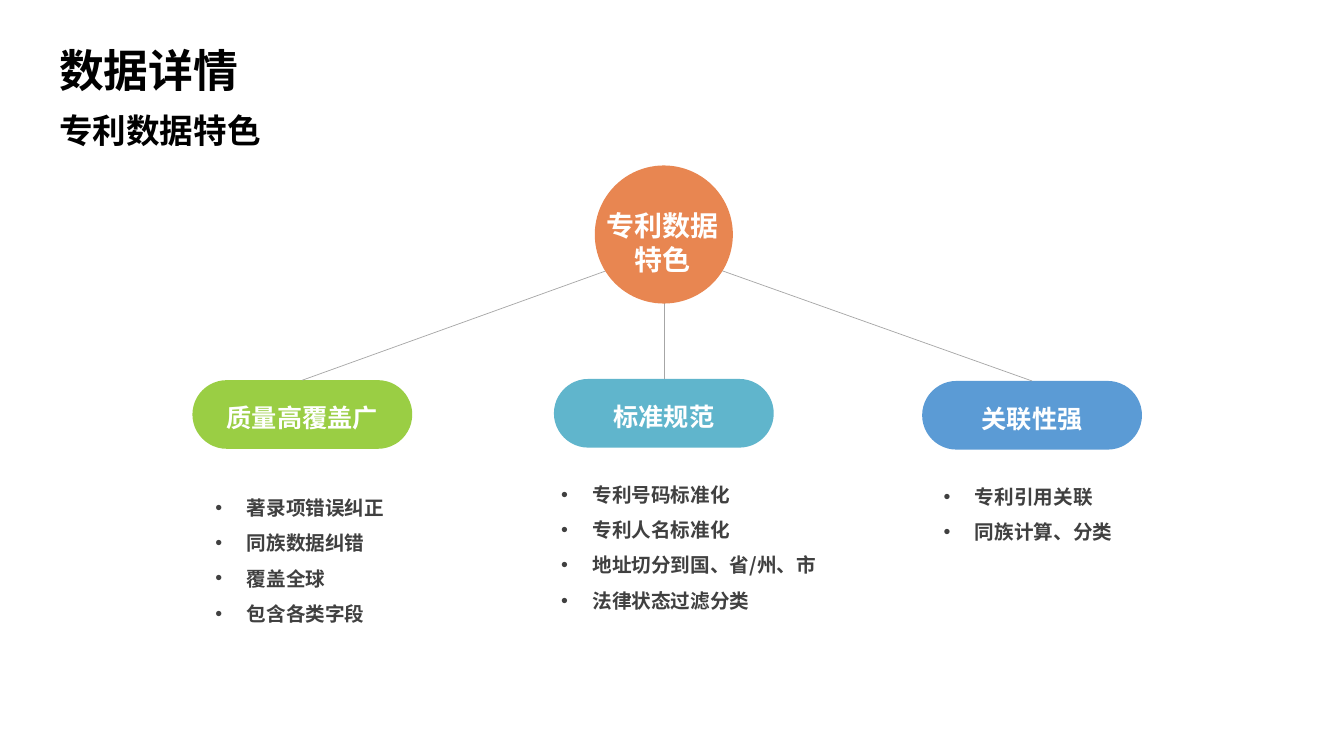
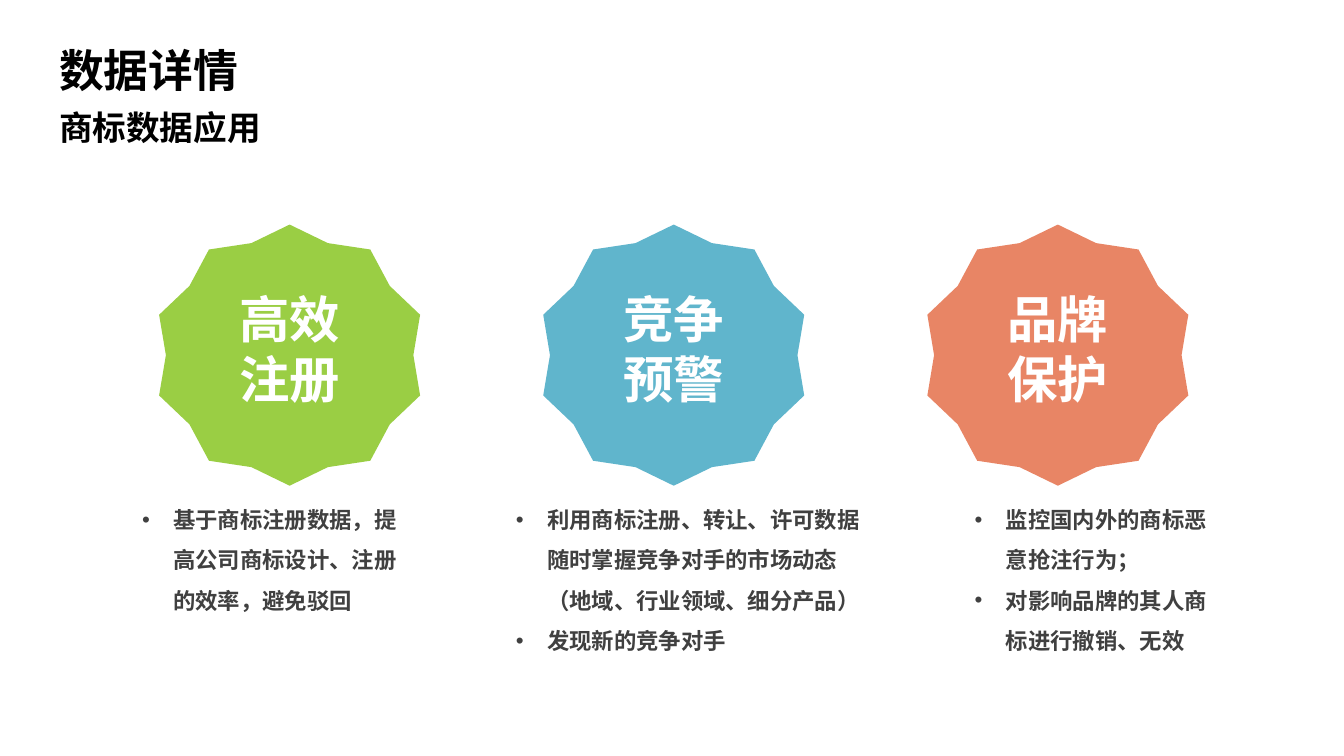
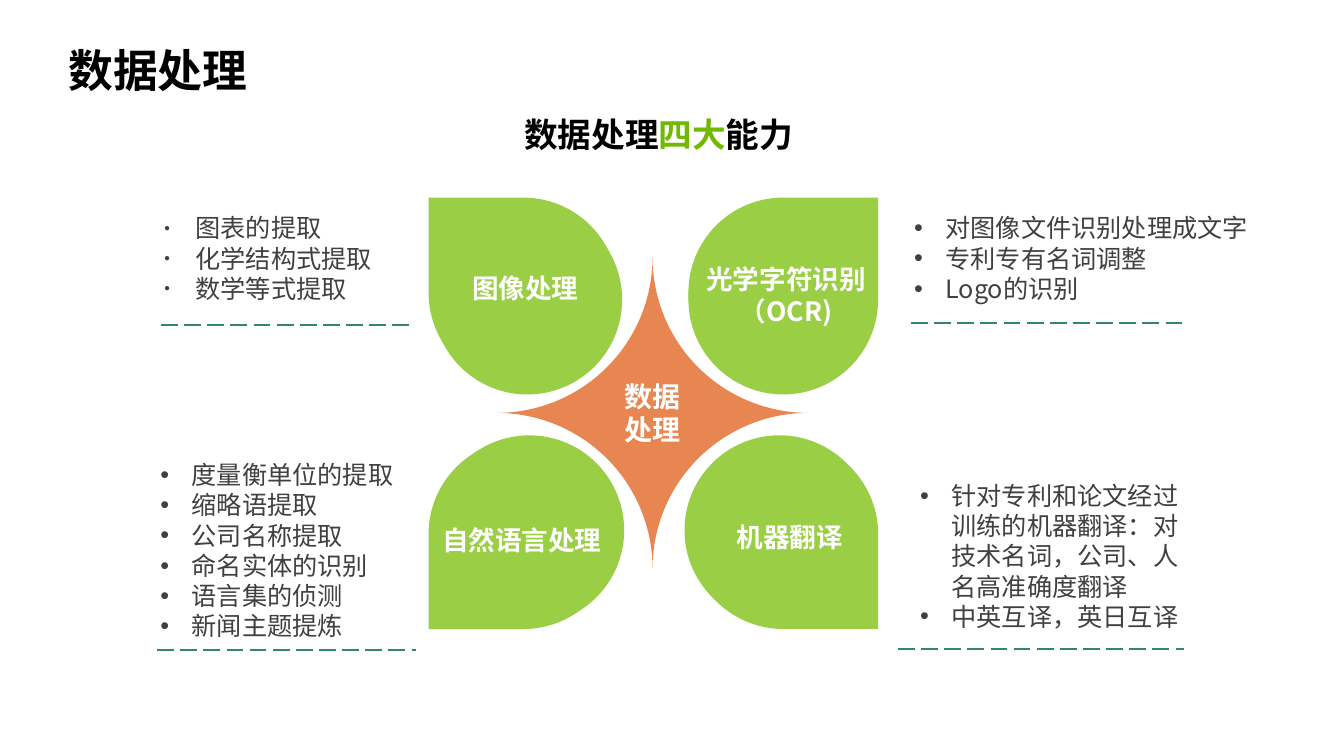
import pptx
import pptx.util
from lxml import etree
from pptx.dml.color import RGBColor
from pptx.enum.dml import MSO_LINE
from pptx.enum.shapes import MSO_CONNECTOR, MSO_SHAPE
from pptx.enum.text import MSO_ANCHOR, MSO_AUTO_SIZE, PP_ALIGN
from pptx.oxml.ns import qn
from pptx.util import Cm

BLACK = RGBColor(0x00, 0x00, 0x00)
WHITE = RGBColor(0xFF, 0xFF, 0xFF)
DARK_GREY = RGBColor(0x40, 0x40, 0x40)
LINE_GREY = RGBColor(0xA6, 0xA6, 0xA6)
GREEN = RGBColor(0x9A, 0xCE, 0x44)
ACCENT_GREEN = RGBColor(0x71, 0xB9, 0x00)
DASH_GREEN = RGBColor(0x32, 0x87, 0x65)
TEAL = RGBColor(0x60, 0xB5, 0xCC)
BLUE = RGBColor(0x5B, 0x9B, 0xD5)
ORANGE = RGBColor(0xE8, 0x86, 0x51)
CORAL = RGBColor(0xE8, 0x85, 0x65)

LATIN = "Arial"
CJK = "Noto Sans CJK SC"
TEXT_INSETS = (0.25, 0.13, 0.25, 0.13)
NO_INSETS = (0, 0, 0, 0)
HANG = 0.79


def add_bullet(paragraph, indent, character, percent):
    properties = paragraph._p.get_or_add_pPr()
    properties.set("marL", str(Cm(indent)))
    properties.set("indent", str(-Cm(HANG)))
    if percent != 100:
        size = etree.SubElement(properties, qn("a:buSzPct"))
        size.set("val", str(percent * 1000))
    etree.SubElement(properties, qn("a:buFont")).set("typeface", LATIN)
    etree.SubElement(properties, qn("a:buChar")).set("char", character)


def write(frame, paragraphs, size, colour, font=CJK, bold=True, align=None,
          spacing=None, insets=TEXT_INSETS, wrap=True, bullet=None):
    """Fill a frame; a paragraph is a string or a list of (text, colour) runs."""
    frame.word_wrap = wrap
    (frame.margin_left, frame.margin_top,
     frame.margin_right, frame.margin_bottom) = map(Cm, insets)
    for index, content in enumerate(paragraphs):
        paragraph = frame.add_paragraph() if index else frame.paragraphs[0]
        if bullet:
            add_bullet(paragraph, *bullet)
        paragraph.alignment = align
        paragraph.line_spacing = spacing
        runs = [(content, colour)] if isinstance(content, str) else content
        for text, run_colour in runs:
            run = paragraph.add_run()
            run.text = text
            run.font.name = font
            run.font.size = pptx.util.Pt(size)
            run.font.bold = bold
            run.font.color.rgb = run_colour


def add_text(slide, box, paragraphs, size, colour, **style):
    shape = slide.shapes.add_textbox(*map(Cm, box))
    write(shape.text_frame, paragraphs, size, colour, **style)
    shape.text_frame.auto_size = MSO_AUTO_SIZE.SHAPE_TO_FIT_TEXT


def add_filled(slide, kind, box, colour, rotation=0):
    shape = slide.shapes.add_shape(kind, *map(Cm, box))
    shape.shadow.inherit = False
    shape.fill.solid()
    shape.fill.fore_color.rgb = colour
    shape.line.fill.background()
    shape.rotation = rotation
    shape.text_frame.vertical_anchor = MSO_ANCHOR.MIDDLE
    return shape


def add_line(slide, start, end, colour, width, dash=None):
    line = slide.shapes.add_connector(
        MSO_CONNECTOR.STRAIGHT, *map(Cm, start + end))
    line.line.color.rgb = colour
    line.line.width = pptx.util.Pt(width)
    if dash:
        line.line.dash_style = dash
    etree.SubElement(line._element.spPr, qn("a:effectLst"))
    return line


def add_title(slide, text, left=1.24, top=0.94, font=LATIN):
    add_text(slide, (left, top, 10.16, 1.63), [text], 32, BLACK, font=font)


def add_subtitle(slide, content, left=1.24, top=2.57, align=None):
    add_text(slide, (left, top, 11, 1.27), [content], 24, BLACK, align=align)


def add_pill(slide, box, text, colour):
    pill = add_filled(slide, MSO_SHAPE.ROUNDED_RECTANGLE, box, colour)
    pill.adjustments[0] = 0.5
    write(pill.text_frame, [text], 18, WHITE, align=PP_ALIGN.CENTER,
          spacing=1.2, insets=NO_INSETS)
    return pill


def add_star(slide, box, lines, colour):
    star = add_filled(slide, MSO_SHAPE.STAR_10_POINT, box, colour)
    star.adjustments[0] = 0.451
    star.adjustments[1] = 1.051
    write(star.text_frame, lines, 36, WHITE, font=LATIN,
          align=PP_ALIGN.CENTER, insets=(0, 0, 0, 0.35), wrap=False)


def build_features(slide):
    add_title(slide, "数据详情")
    add_subtitle(slide, "专利数据特色", top=2.64)

    hub_left, hub_top, hub_size = 14.99, 4.17, 3.48
    hub_middle = hub_left + hub_size / 2
    pill_width, pill_height = 5.54, 1.73
    branches = [
        ("质量高覆盖广", GREEN, 4.85, 9.58, 5.18, 12.07,
         ["著录项错误纠正", "同族数据纠错", "覆盖全球", "包含各类字段"]),
        ("标准规范", TEAL, hub_middle - pill_width / 2, 9.55, 13.89, 11.74,
         ["专利号码标准化", "专利人名标准化", "地址切分到国、省/州、市",
          "法律状态过滤分类"]),
        ("关联性强", BLUE, 23.24, 9.6, 23.53, 11.79,
         ["专利引用关联", "同族计算、分类"]),
    ]
    for name, colour, left, top, list_left, list_top, items in branches:
        pill = add_pill(slide, (left, top, pill_width, pill_height), name, colour)
        line = add_line(slide, (hub_middle, 6.3),
                        (left + pill_width / 2, top), LINE_GREY, 0.5)
        line.end_connect(pill, 0)
        add_text(slide, (list_left, list_top, 7.09, 0.9 * len(items) + 0.25),
                 items, 14, DARK_GREY, spacing=1.5, bullet=(HANG, "•", 100))

    hub = add_filled(slide, MSO_SHAPE.OVAL,
                     (hub_left, hub_top, hub_size, hub_size), ORANGE)
    write(hub.text_frame, ["专利数据", "特色"], 20, WHITE,
          align=PP_ALIGN.CENTER, insets=(0, 0.4, 0.05, 0), wrap=False)


def build_applications(slide):
    add_title(slide, "数据详情")
    add_subtitle(slide, "商标数据应用")

    star_left, star_top, star_size, star_step = 4.01, 5.66, 6.58, 9.68
    applications = [
        (["高效", "注册"], GREEN, 3.33, 7.26,
         ["基于商标注册数据，提高公司商标设计、注册的效率，避免驳回"]),
        (["竞争", "预警"], TEAL, 12.75, 9.63,
         ["利用商标注册、转让、许可数据随时掌握竞争对手的市场动态"
          "（地域、行业领域、细分产品）", "发现新的竞争对手"]),
        (["品牌", "保护"], CORAL, 24.31, 6.53,
         ["监控国内外的商标恶意抢注行为；",
          "对影响品牌的其人商标进行撤销、无效"]),
    ]
    for index, (lines, colour, left, width, items) in enumerate(applications):
        add_star(slide, (star_left + index * star_step, star_top,
                         star_size, star_size), lines, colour)
        add_text(slide, (left, 12.29, width, 4.3), items, 16, DARK_GREY,
                 font=LATIN, spacing=1.5, bullet=(HANG, "•", 100))


def add_petal(slide, left, top, rotation, shift):
    """Two overlapping teardrops, the lower one moved by shift."""
    size = 4.78
    for across, down in (shift, (0, 0)):
        add_filled(slide, MSO_SHAPE.TEAR,
                   (left + across, top + down, size, size), GREEN, rotation)


def build_processing(slide):
    add_title(slide, "数据处理", left=1.47, top=0.95, font=CJK)
    add_subtitle(slide, [("数据处理", BLACK), ("四大", ACCENT_GREEN),
                         ("能力", BLACK)],
                 left=11.1, top=2.74, align=PP_ALIGN.CENTER)

    core = add_filled(slide, MSO_SHAPE.PLAQUE, (12.52, 6.48, 7.85, 7.85), ORANGE)
    core.adjustments[0] = 0.5
    write(core.text_frame, ["数据处理"], 20, WHITE, align=PP_ALIGN.CENTER,
          insets=(0.33, 0.18, 0.33, 0.18))

    left, right, top, bottom = 10.8, 17.35, 4.98, 11.07
    for petal in [(left, top, 270, (0.1, 0.18)),
                  (right, top, 0, (0, 0.18)),
                  (left, bottom, 180, (0.15, -0.1)),
                  (right, bottom, 90, (-0.1, -0.1))]:
        add_petal(slide, *petal)

    dot, small_dot = ("•", 100), ("●", 40)
    abilities = [
        (["图像处理"], (11.88, 6.86, 2.72, 0.81),
         ["图表的提取", "化学结构式提取", "数学等式提取"],
         (2.87, 5.36, 7.5, 2.31), small_dot, (4.06, 10.36, 8.2)),
        (["光学字符识别", "（OCR)"], (17.78, 6.63, 4.06, 1.63),
         ["对图像文件识别处理成文字", "专利专有名词调整", "Logo的识别"],
         (21.77, 5.36, 9.83, 2.31), dot, (22.96, 29.85, 8.13)),
        (["自然语言处理"], (11.12, 13.21, 4.06, 0.81),
         ["度量衡单位的提取", "缩略语提取", "公司名称提取", "命名实体的识别",
          "语言集的侦测", "新闻主题提炼"],
         (2.77, 11.58, 9.37, 4.62), dot, (3.96, 10.49, 16.38)),
        (["机器翻译"], (18.54, 13.13, 2.72, 0.81),
         ["针对专利和论文经过训练的机器翻译：对技术名词，公司、人名高准确度翻译",
          "中英互译，英日互译"],
         (21.92, 12.1, 7.85, 3.84), dot, (22.63, 29.85, 16.36)),
    ]
    for name, name_box, items, list_box, mark, rule in abilities:
        add_text(slide, name_box, name, 19, WHITE, align=PP_ALIGN.CENTER,
                 insets=NO_INSETS, wrap=False)
        add_text(slide, list_box, items, 18, DARK_GREY, bold=False,
                 insets=NO_INSETS, bullet=(2.06, *mark))
        start, end, height = rule
        add_line(slide, (start, height), (end, height), DASH_GREEN, 1.5,
                 MSO_LINE.LONG_DASH)


def main():
    presentation = pptx.Presentation()
    presentation.slide_width = Cm(33.87)
    presentation.slide_height = Cm(19.05)
    blank = presentation.slide_layouts[6]
    for build in (build_features, build_applications, build_processing):
        build(presentation.slides.add_slide(blank))
    presentation.save("out.pptx")


if __name__ == "__main__":
    main()
